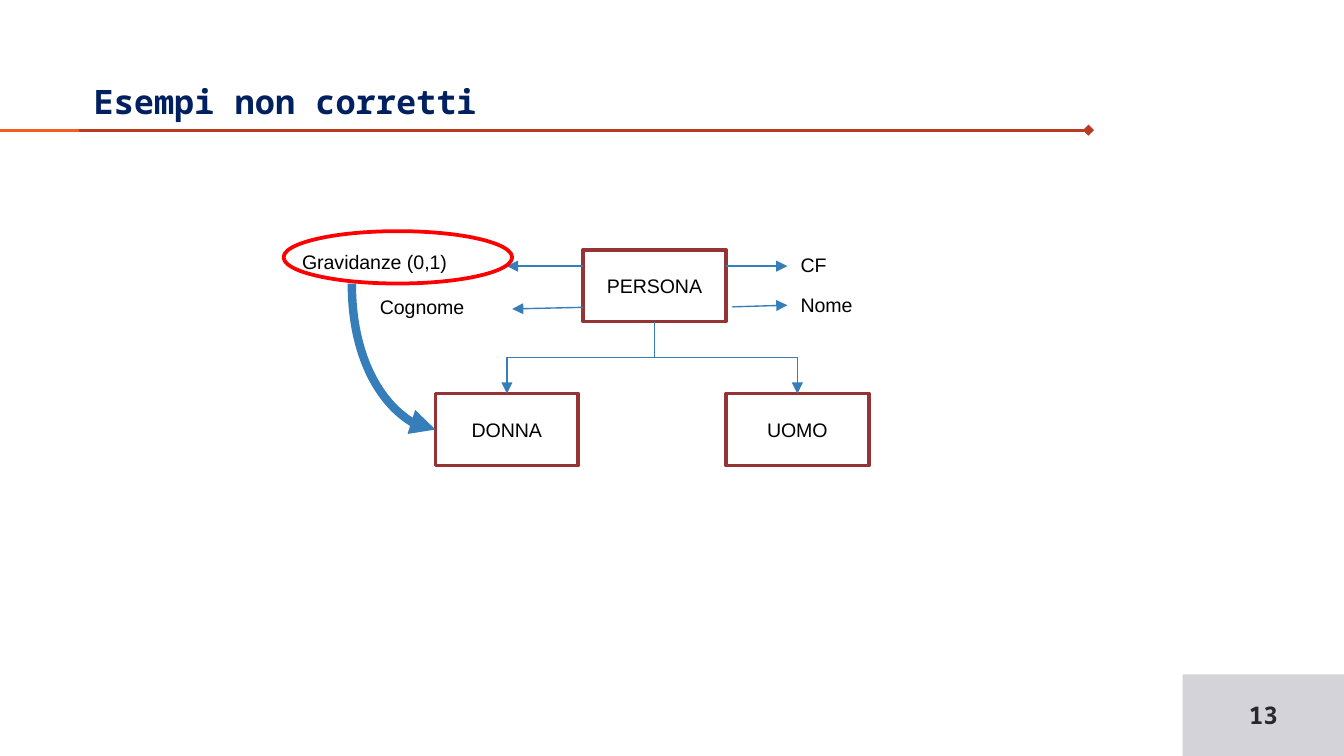
"""Build the slide on incorrect generalisation examples (PERSONA, DONNA, UOMO)."""
from dataclasses import dataclass

from pptx import Presentation
from pptx.dml.color import RGBColor
from pptx.enum.shapes import MSO_CONNECTOR, MSO_SHAPE
from pptx.enum.text import MSO_ANCHOR, PP_ALIGN
from pptx.oxml.ns import qn
from pptx.util import Cm, Pt
from lxml.etree import SubElement


@dataclass(frozen=True)
class Theme:
    navy: str = "002060"
    rust: str = "BA3B21"
    orange: str = "F55C21"
    grey: str = "D4D3D9"
    ink: str = "27272D"
    black: str = "000000"
    white: str = "FFFFFF"
    maroon: str = "963334"
    blue: str = "367EB9"
    red: str = "FF0000"
    mono: str = "Noto Sans Mono"
    sans: str = "Arial"
    title: float = 18
    number: float = 13
    label: float = 10.5


theme = Theme()
rgb = RGBColor.from_string


def write(sp, text, size=theme.label, font=theme.sans, color=theme.black, bold=False,
          align=PP_ALIGN.LEFT, anchor=MSO_ANCHOR.TOP, wrap=True):
    tf = sp.text_frame
    tf.word_wrap, tf.vertical_anchor = wrap, anchor
    p = tf.paragraphs[0]
    p.alignment = align
    r = p.add_run()
    r.text = text
    r.font.size, r.font.name, r.font.bold = Pt(size), font, bold
    r.font.color.rgb = rgb(color)


def connect(x1, y1, x2, y2, preset="line", color=theme.blue, width=0.75, tail="triangle"):
    turned = preset != "line"
    if turned:
        right = x2 > x1
        cx, cy = (x1 + x2) / 2, (y1 + y2) / 2
        dx, dy = (y2 - y1) / 2 * (1 if right else -1), abs(x2 - x1) / 2
        x1, y1, x2, y2 = cx + dx, cy - dy, cx - dx, cy + dy
    c = s.shapes.add_connector(MSO_CONNECTOR.STRAIGHT, Cm(x1), Cm(y1), Cm(x2), Cm(y2))
    c.line.color.rgb, c.line.width = rgb(color), Pt(width)
    spPr = c._element.spPr
    spPr.find(qn("a:prstGeom")).set("prst", preset)
    if turned:
        spPr.find(qn("a:xfrm")).set("rot", str((270 if right else 90) * 60000))
    if tail:
        SubElement(spPr.find(qn("a:ln")), qn("a:tailEnd"), type=tail)
    SubElement(spPr, qn("a:effectLst"))


prs = Presentation()
prs.slide_width, prs.slide_height = Cm(25.4), Cm(14.29)
s = prs.slides.add_slide(prs.slide_layouts[6])

connect(0, 2.46, 20.57, 2.46, color=theme.rust, width=1.5, tail="diamond")
connect(0, 2.46, 1.5, 2.46, color=theme.orange, width=1.5, tail=None)

sp = s.shapes.add_textbox(Cm(1.52), Cm(1.02), Cm(19.05), Cm(1.52))
write(sp, "Esempi non corretti", size=theme.title, font=theme.mono, color=theme.navy,
      bold=True, anchor=MSO_ANCHOR.BOTTOM)
sp.text_frame.margin_bottom = Cm(0.25)

sp = s.shapes.add_shape(MSO_SHAPE.RECTANGLE, Cm(22.35), Cm(12.75), Cm(3.05), Cm(1.54))
sp.shadow.inherit = False
sp.fill.solid()
sp.fill.fore_color.rgb = rgb(theme.grey)
sp.line.fill.background()
write(sp, "13", size=theme.number, font=theme.mono, color=theme.ink, bold=True,
      align=PP_ALIGN.CENTER, anchor=MSO_ANCHOR.MIDDLE)

box_w, box_h = 2.7, 1.36
person_x, person_y, child_y = 11.02, 4.72, 7.44
woman_x, man_x = 8.23, 13.72
for text, x, y in [("PERSONA", person_x, person_y), ("UOMO", man_x, child_y),
                   ("DONNA", woman_x, child_y)]:
    sp = s.shapes.add_shape(MSO_SHAPE.RECTANGLE, Cm(x), Cm(y), Cm(box_w), Cm(box_h))
    sp.shadow.inherit = False
    sp.fill.solid()
    sp.fill.fore_color.rgb = rgb(theme.white)
    sp.line.color.rgb, sp.line.width = rgb(theme.maroon), Pt(2)
    write(sp, text, align=PP_ALIGN.CENTER, anchor=MSO_ANCHOR.MIDDLE)

for x in (man_x, woman_x):
    connect(person_x + box_w / 2, person_y + box_h, x + box_w / 2, child_y,
            preset="bentConnector3")

for text, x, y, w, arrow in [
    ("CF", 14.88, 4.65, 1.02, (13.72, 5.03, 14.88, 5.03)),
    ("Gravidanze (0,1)", 5.46, 4.6, 3.3, (11.02, 5.03, 9.58, 5.03)),
    ("Nome", 14.88, 5.41, 1.52, (13.84, 5.8, 14.88, 5.77)),
    ("Cognome", 6.93, 5.46, 2.13, (11.02, 5.81, 9.68, 5.84)),
]:
    connect(*arrow)
    sp = s.shapes.add_textbox(Cm(x), Cm(y), Cm(w), Cm(0.71))
    write(sp, text, wrap=False)

sp = s.shapes.add_shape(MSO_SHAPE.OVAL, Cm(5.36), Cm(4.37), Cm(4.32), Cm(0.99))
sp.shadow.inherit = False
sp.fill.background()
sp.line.color.rgb, sp.line.width = rgb(theme.red), Pt(2)
connect(6.65, 5.36, woman_x, child_y + box_h / 2, preset="curvedConnector2", width=4.5)

prs.save("out.pptx")
